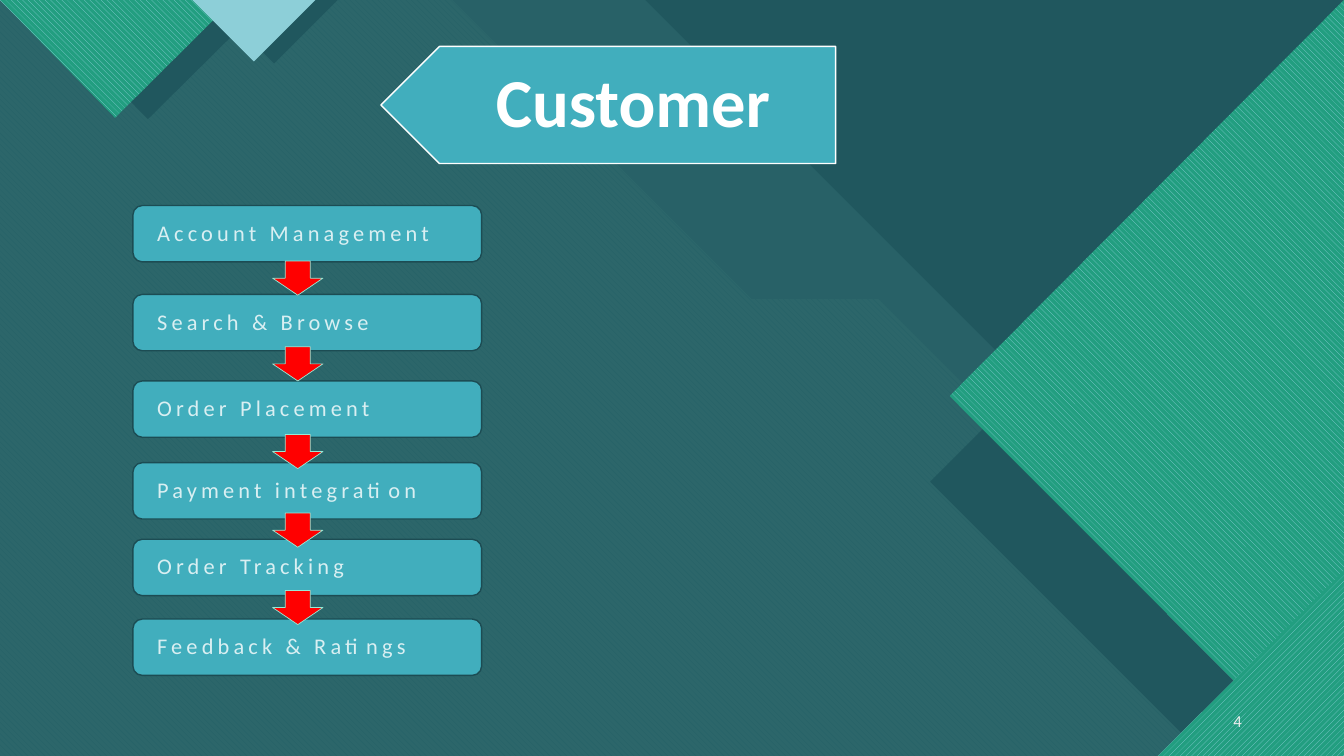
from dataclasses import dataclass

from pptx import Presentation
from pptx.dml.color import RGBColor
from pptx.enum.dml import MSO_PATTERN
from pptx.enum.shapes import MSO_SHAPE
from pptx.enum.text import MSO_ANCHOR, PP_ALIGN
from pptx.util import Cm, Pt


@dataclass(frozen=True)
class Theme:
    font: str = "Calibri"
    dark: str = "20575E"
    middle: str = "286167"
    field: str = "2C666A"
    field_line: str = "236067"
    green: str = "229E80"
    pale_blue: str = "8DCFD8"
    teal: str = "41AEBD"
    box_line: str = "1C4C53"
    box_text: str = "D9EFF2"
    arrow: str = "FF0000"
    arrow_line: str = "97E9D5"
    white: str = "FFFFFF"
    number: str = "EDEDED"
    title_size: int = 49
    box_size: int = 16
    number_size: int = 12


T = Theme()
W, H = 33.87, 19.05
DOWN = MSO_PATTERN.WIDE_DOWNWARD_DIAGONAL
UP = MSO_PATTERN.WIDE_UPWARD_DIAGONAL

BACKDROP = [
    ([(0, 0), (16.26, 0), (W, 17.61), (W, H), (0, H)], T.middle, None, None),
    ([(0, 0), (11.4, 0), (18.95, 7.54), (22.15, 7.54), (33.66, H), (0, H)],
     T.field, DOWN, T.field_line),
    ([(W, 1.73), (W, H), (30.35, H), (23.44, 12.14)], T.dark, None, None),
    ([(W, 0), (W, H), (32.99, H), (23.93, 9.98)], T.green, DOWN, T.pale_blue),
    ([(W, 14.38), (W, H), (29.18, H)], T.green, UP, T.pale_blue),
    ([(0.74, 0), (3.73, 3), (6.76, 0)], T.dark, None, None),
    ([(0, 0), (2.9, 2.97), (5.89, 0)], T.green, DOWN, T.pale_blue),
    ([(5.31, 0), (6.91, 1.6), (8.51, 0)], T.dark, None, None),
    ([(4.85, 0), (6.4, 1.55), (7.95, 0)], T.pale_blue, None, None),
]

STEPS = [
    ("Account Management", 5.18),
    ("Search & Browse", 7.42),
    ("Order Placement", 9.6),
    ("Payment integration", 11.66),
    ("Order Tracking", 13.59),
    ("Feedback & Ratings", 15.6),
]
ARROW_TOPS = [6.58, 8.74, 10.95, 12.93, 14.88]


def rgb(color):
    return RGBColor.from_string(color)


def add_polygon(s, points, color, pattern=None, stripe=None):
    points = [(Cm(x), Cm(y)) for x, y in points]
    builder = s.shapes.build_freeform(*points[0])
    builder.add_line_segments(points[1:], close=True)
    sp = builder.convert_to_shape()
    sp.shadow.inherit = False
    sp.line.fill.background()
    if pattern is None:
        sp.fill.solid()
        sp.fill.fore_color.rgb = rgb(color)
    else:
        sp.fill.patterned()
        sp.fill.pattern = pattern
        sp.fill.fore_color.rgb = rgb(stripe)
        sp.fill.back_color.rgb = rgb(color)


def add_preset(s, kind, x, y, w, h, fill, line, width=1):
    sp = s.shapes.add_shape(kind, Cm(x), Cm(y), Cm(w), Cm(h))
    sp.shadow.inherit = False
    sp.fill.solid()
    sp.fill.fore_color.rgb = rgb(fill)
    sp.line.color.rgb = rgb(line)
    sp.line.width = Pt(width)
    return sp


def add_text(s, text, x, y, w, h, *, size, color, align, bold=False,
             anchor=MSO_ANCHOR.TOP, insets=(0.25, 0.13, 0.25, 0.13),
             line_spacing=1.0, before=0, tracking=0):
    tf = s.shapes.add_textbox(Cm(x), Cm(y), Cm(w), Cm(h)).text_frame
    tf.word_wrap = True
    tf.vertical_anchor = anchor
    tf.margin_left, tf.margin_top, tf.margin_right, tf.margin_bottom = map(Cm, insets)
    p = tf.paragraphs[0]
    p.alignment = align
    p.line_spacing = line_spacing
    p.space_before = Pt(before)
    r = p.add_run()
    r.text = text
    r.font.name = T.font
    r.font.size = Pt(size)
    r.font.bold = bold
    r.font.color.rgb = rgb(color)
    if tracking:
        r.font._element.set("spc", str(tracking * 100))


def add_title(s, text):
    sp = add_preset(s, MSO_SHAPE.PENTAGON, 9.6, 1.17, 11.46, 2.95, T.teal, T.white)
    sp.rotation = 180
    add_text(s, text, 10.34, 1.17, 10.72, 2.95, size=T.title_size, color=T.white,
             align=PP_ALIGN.CENTER, bold=True, anchor=MSO_ANCHOR.MIDDLE,
             insets=(1.47, 0.51, 0.97, 0.51), line_spacing=0.9)


def add_step(s, text, top):
    add_preset(s, MSO_SHAPE.ROUNDED_RECTANGLE, 3.35, top, 8.79, 1.42, T.teal, T.box_line)
    add_text(s, text, 3.71, top + 0.28, 12.7, 1.42, size=T.box_size, color=T.box_text,
             align=PP_ALIGN.JUSTIFY, line_spacing=0.9, before=10, tracking=3)


def main():
    prs = Presentation()
    prs.slide_width, prs.slide_height = Cm(W), Cm(H)
    s = prs.slides.add_slide(prs.slide_layouts[6])
    s.background.fill.solid()
    s.background.fill.fore_color.rgb = rgb(T.dark)
    for polygon in BACKDROP:
        add_polygon(s, *polygon)
    add_text(s, "4", 23.93, 17.65, 7.62, 1.02, size=T.number_size, color=T.number,
             align=PP_ALIGN.RIGHT, anchor=MSO_ANCHOR.MIDDLE)
    add_title(s, "Customer")
    for text, top in STEPS:
        add_step(s, text, top)
    for top in ARROW_TOPS:
        add_preset(s, MSO_SHAPE.DOWN_ARROW, 6.87, top, 1.27, 0.86,
                   T.arrow, T.arrow_line, 0.5)
    prs.save("out.pptx")


if __name__ == "__main__":
    main()
